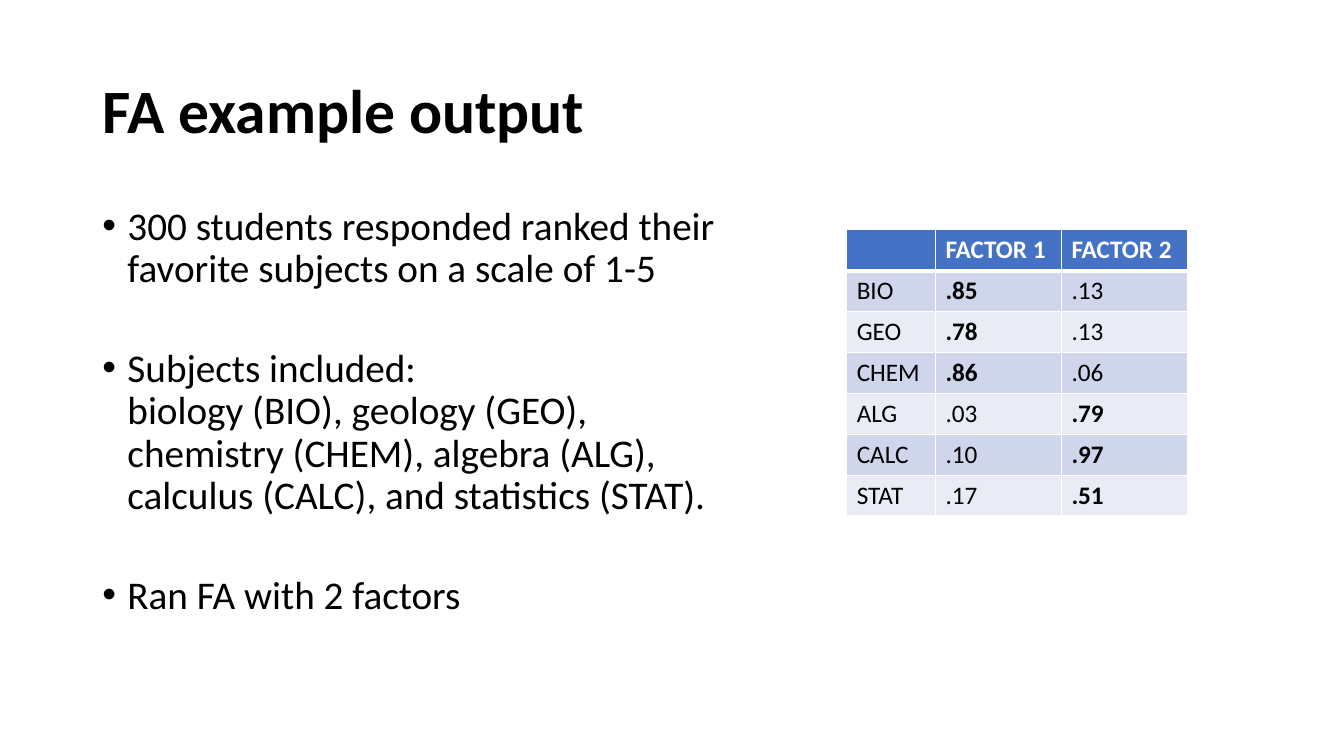
"""Build the factor analysis example slide with bullets and a loadings table."""

from dataclasses import dataclass

from lxml import etree
from pptx import Presentation
from pptx.dml.color import RGBColor
from pptx.enum.text import MSO_ANCHOR
from pptx.oxml.ns import qn
from pptx.slide import Slide
from pptx.table import _Cell
from pptx.text.text import TextFrame, _Paragraph
from pptx.util import Pt

MIDDLE = MSO_ANCHOR.MIDDLE
TOP = MSO_ANCHOR.TOP


@dataclass(frozen=True)
class Theme:
    font: str = "Calibri"
    title_size: float = 44
    body_size: float = 28
    table_size: float = 18
    text: str = "000000"
    white: str = "FFFFFF"
    header: str = "4472C4"
    bands: tuple[str, str] = ("CFD5EA", "E9EBF5")


@dataclass(frozen=True)
class Box:
    left: float
    top: float
    width: float
    height: float


@dataclass(frozen=True)
class Loading:
    subject: str
    factors: tuple[str, str]


THEME = Theme()
SLIDE_WIDTH, SLIDE_HEIGHT = 960, 540
TITLE_BOX = Box(66, 28.75, 828, 104.4)
BODY_BOX = Box(66, 144, 471, 342.6)
TABLE_BOX = Box(604.8, 164.2, 243.4, 204.4)
COLUMN_WIDTHS = (63.4, 90, 90)
BULLET_INDENT = 18
BULLET_GAP = 41
STRONG_LOADING = 0.5

BULLETS = (
    "300 students responded ranked their favorite subjects on a scale of 1-5",
    "Subjects included:\vbiology (BIO), geology (GEO), chemistry (CHEM), "
    "algebra (ALG), calculus (CALC), and statistics (STAT).",
    "Ran FA with 2 factors",
)
HEADINGS = ("", "FACTOR 1", "FACTOR 2")
LOADINGS = (
    Loading("BIO", (".85", ".13")),
    Loading("GEO", (".78", ".13")),
    Loading("CHEM", (".86", ".06")),
    Loading("ALG", (".03", ".79")),
    Loading("CALC", (".10", ".97")),
    Loading("STAT", (".17", ".51")),
)


def write_text(paragraph: _Paragraph, text: str, size: float, color: str, bold: bool) -> None:
    """Fill a paragraph with text in one format."""
    paragraph.text = text
    formats = {"name": THEME.font, "size": Pt(size), "bold": bold}
    for run in paragraph.runs:
        for attribute, value in formats.items():
            setattr(run.font, attribute, value)
        run.font.color.rgb = RGBColor.from_string(color)


def add_text_frame(slide: Slide, box: Box, anchor: MSO_ANCHOR) -> TextFrame:
    """Add a wrapping text box and return its frame."""
    shape = slide.shapes.add_textbox(*map(Pt, (box.left, box.top, box.width, box.height)))
    shape.text_frame.word_wrap = True
    shape.text_frame.vertical_anchor = anchor
    return shape.text_frame


def add_title(slide: Slide, text: str) -> None:
    """Add the slide title."""
    paragraph = add_text_frame(slide, TITLE_BOX, MIDDLE).paragraphs[0]
    paragraph.line_spacing = 0.9
    write_text(paragraph, text, THEME.title_size, THEME.text, True)


def add_bullets(slide: Slide, bullets: tuple[str, ...]) -> None:
    """Add the bulleted body text."""
    frame = add_text_frame(slide, BODY_BOX, TOP)
    for index, text in enumerate(bullets):
        paragraph = frame.add_paragraph() if index else frame.paragraphs[0]
        paragraph.line_spacing = 0.9
        if index:
            paragraph.space_before = Pt(BULLET_GAP)
        properties = paragraph._p.get_or_add_pPr()
        properties.set("marL", str(Pt(BULLET_INDENT)))
        properties.set("indent", str(-Pt(BULLET_INDENT)))
        etree.SubElement(properties, qn("a:buFont"), typeface="Arial")
        etree.SubElement(properties, qn("a:buChar"), char="•")
        write_text(paragraph, text, THEME.body_size, THEME.text, False)


def set_borders(cell: _Cell, widths: dict[str, float]) -> None:
    """Draw white borders of the given widths around a cell."""
    properties = cell._tc.get_or_add_tcPr()
    for position, (side, width) in enumerate(widths.items()):
        line = etree.Element(qn(f"a:{side}"), w=str(Pt(width)))
        fill = etree.SubElement(line, qn("a:solidFill"))
        etree.SubElement(fill, qn("a:srgbClr"), val=THEME.white)
        properties.insert(position, line)


def add_loadings_table(slide: Slide) -> None:
    """Add the table of factor loadings with strong values in bold."""
    rows = [HEADINGS] + [(loading.subject, *loading.factors) for loading in LOADINGS]
    box = TABLE_BOX
    table = slide.shapes.add_table(
        len(rows), len(HEADINGS), *map(Pt, (box.left, box.top, box.width, box.height))
    ).table
    table.horz_banding = False
    for column, width in zip(table.columns, COLUMN_WIDTHS):
        column.width = Pt(width)
    for row_index, values in enumerate(rows):
        is_header = row_index == 0
        fill = THEME.header if is_header else THEME.bands[(row_index - 1) % 2]
        color = THEME.white if is_header else THEME.text
        widths = {
            "lnL": 1,
            "lnR": 1,
            "lnT": 3 if row_index == 1 else 1,
            "lnB": 3 if is_header else 1,
        }
        for column_index, text in enumerate(values):
            cell = table.cell(row_index, column_index)
            cell.fill.solid()
            cell.fill.fore_color.rgb = RGBColor.from_string(fill)
            set_borders(cell, widths)
            bold = is_header or (column_index > 0 and float(text) > STRONG_LOADING)
            if text:
                write_text(cell.text_frame.paragraphs[0], text, THEME.table_size, color, bold)


def main() -> None:
    """Build and save the presentation."""
    presentation = Presentation()
    presentation.slide_width = Pt(SLIDE_WIDTH)
    presentation.slide_height = Pt(SLIDE_HEIGHT)
    slide = presentation.slides.add_slide(presentation.slide_layouts[6])
    add_title(slide, "FA example output")
    add_bullets(slide, BULLETS)
    add_loadings_table(slide)
    presentation.save("out.pptx")


if __name__ == "__main__":
    main()
